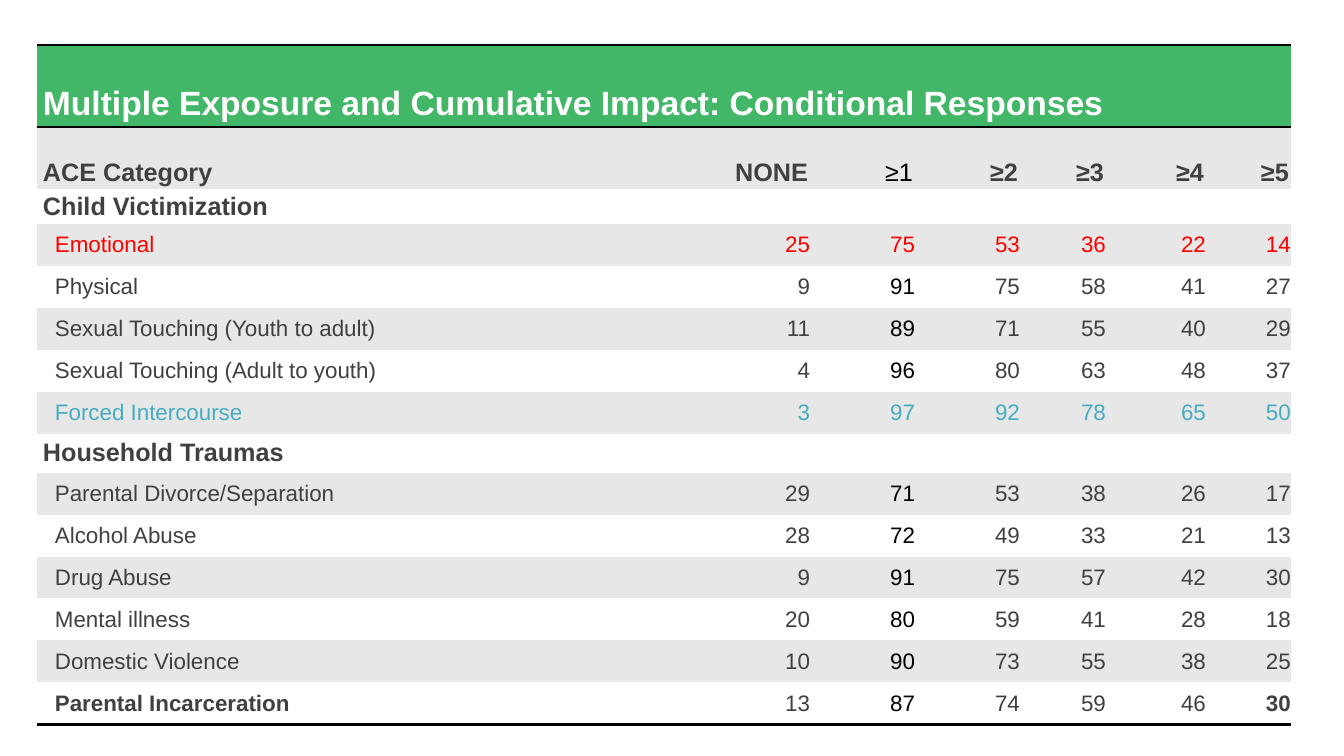
from lxml import etree
from pptx import Presentation
from pptx.dml.color import RGBColor
from pptx.enum.text import MSO_ANCHOR, PP_ALIGN
from pptx.oxml.ns import qn
from pptx.util import Emu, Pt

LEFT, RIGHT = PP_ALIGN.LEFT, PP_ALIGN.RIGHT
TOP, MIDDLE = MSO_ANCHOR.TOP, MSO_ANCHOR.MIDDLE
EMU_PER_PX = 914400 / 100.8

GREEN, GREY, WHITE, BLACK = "43B768", "E7E7E7", "FFFFFF", "000000"
DARK, RED, TEAL = "404040", "FF0000", "46ADC0"
PLAIN_STYLE = "{2D5ABB26-0587-4C30-8999-92F81FD0307C}"

COLUMN_WIDTHS = [663, 110, 105, 105, 86, 100, 85]
TITLE_HEIGHT, HEADER_HEIGHT, CATEGORY_HEIGHT = 82, 62, 42
TITLE = "Multiple Exposure and Cumulative Impact: Conditional Responses"
HEADERS = ["ACE Category", "NONE", "≥1", "≥2", "≥3", "≥4", "≥5"]
SECTIONS = [
    ("Child Victimization", 32, TOP, [
        ("Emotional", 25, 75, 53, 36, 22, 14),
        ("Physical", 9, 91, 75, 58, 41, 27),
        ("Sexual Touching (Youth to adult)", 11, 89, 71, 55, 40, 29),
        ("Sexual Touching (Adult to youth)", 4, 96, 80, 63, 48, 37),
        ("Forced Intercourse", 3, 97, 92, 78, 65, 50),
    ]),
    ("Household Traumas", 39, MIDDLE, [
        ("Parental Divorce/Separation", 29, 71, 53, 38, 26, 17),
        ("Alcohol Abuse", 28, 72, 49, 33, 21, 13),
        ("Drug Abuse", 9, 91, 75, 57, 42, 30),
        ("Mental illness", 20, 80, 59, 41, 28, 18),
        ("Domestic Violence", 10, 90, 73, 55, 38, 25),
        ("Parental Incarceration", 13, 87, 74, 59, 46, 30),
    ]),
]
HIGHLIGHTS = {"Emotional": RED, "Forced Intercourse": TEAL}
BOLD_CATEGORY = "Parental Incarceration"
AT_LEAST_ONE = 2


def px(length):
    """Turn pixels into EMU."""
    return Emu(round(length * EMU_PER_PX))


def rgb(color):
    """Turn a hex string into a colour."""
    return RGBColor.from_string(color)


def write(cell, text, size=16, color=DARK, bold=False, align=LEFT,
          anchor=MIDDLE, spacing=None, left=6, right=2):
    """Put formatted text into a cell."""
    cell.margin_left, cell.margin_right = px(left), px(right)
    cell.margin_top = cell.margin_bottom = px(3)
    cell.vertical_anchor = anchor
    paragraph = cell.text_frame.paragraphs[0]
    paragraph.alignment = align
    if spacing:
        paragraph.line_spacing = spacing
    if not text:
        etree.SubElement(paragraph._p, qn("a:endParaRPr"), sz=str(size * 100))
        return
    run = paragraph.add_run()
    run.text = text
    run.font.name, run.font.size, run.font.bold = "Arial", Pt(size), bold
    run.font.color.rgb = rgb(color)


def fill_row(row, color):
    """Fill every cell of a row with one colour."""
    for cell in row.cells:
        cell.fill.solid()
        cell.fill.fore_color.rgb = rgb(color)


def rule_row(row, *edges):
    """Draw black rules along the given edges of a row, bottom edge first."""
    for cell in row.cells:
        properties = cell._tc.get_or_add_tcPr()
        for edge in edges:
            line = etree.Element(qn(f"a:{edge}"), w=str(Pt(2)))
            solid = etree.SubElement(line, qn("a:solidFill"))
            etree.SubElement(solid, qn("a:srgbClr"), val=BLACK)
            properties.insert(0, line)


def add_grid(slide, heights):
    """Add an unstyled table with the given row heights."""
    frame = slide.shapes.add_table(
        len(heights), len(COLUMN_WIDTHS), px(37), px(45),
        px(sum(COLUMN_WIDTHS)), px(sum(heights)))
    table = frame.table
    table.first_row = table.horz_banding = False
    table._tbl.tblPr.find(qn("a:tableStyleId")).text = PLAIN_STYLE
    for column, width in zip(table.columns, COLUMN_WIDTHS):
        column.width = px(width)
    for row, height in zip(table.rows, heights):
        row.height = px(height)
    return table


def write_title(row):
    """Write the banner that spans the table."""
    rule_row(row, "lnB", "lnT")
    fill_row(row, GREEN)
    row.cells[0].merge(row.cells[len(COLUMN_WIDTHS) - 1])
    write(row.cells[0], TITLE, size=24, color=WHITE, bold=True,
          anchor=TOP, spacing=2.0)


def write_headers(row):
    """Write the column headings."""
    fill_row(row, GREY)
    for index, (cell, heading) in enumerate(zip(row.cells, HEADERS)):
        plain = index == AT_LEAST_ONE
        write(cell, heading, size=18, color=BLACK if plain else DARK,
              bold=not plain, align=RIGHT if index else LEFT,
              anchor=TOP, spacing=2.0)


def write_section(row, name, anchor):
    """Write a section heading row."""
    fill_row(row, WHITE)
    for cell in row.cells:
        write(cell, "")
    row.cells[0].text_frame.clear()
    write(row.cells[0], name, size=18, bold=True, anchor=anchor)


def write_category(row, category, values, background):
    """Write one category and its percentages."""
    fill_row(row, background)
    color = HIGHLIGHTS.get(category, DARK)
    emphasized = category == BOLD_CATEGORY
    write(row.cells[0], category, color=color, bold=emphasized, left=18)
    for index, value in enumerate(values, 1):
        black = index == AT_LEAST_ONE and category not in HIGHLIGHTS
        write(row.cells[index], str(value), color=BLACK if black else color,
              bold=emphasized and index == len(values), align=RIGHT, right=0)


def main():
    """Build the slide and save it."""
    deck = Presentation()
    deck.slide_width, deck.slide_height = px(1344), px(756)
    slide = deck.slides.add_slide(deck.slide_layouts[6])
    heights = [TITLE_HEIGHT, HEADER_HEIGHT]
    for _, height, _, categories in SECTIONS:
        heights += [height] + [CATEGORY_HEIGHT] * len(categories)
    table = add_grid(slide, heights)
    rows = iter(table.rows)
    write_title(next(rows))
    write_headers(next(rows))
    for name, _, anchor, categories in SECTIONS:
        write_section(next(rows), name, anchor)
        for index, (category, *values) in enumerate(categories):
            write_category(next(rows), category, values,
                           WHITE if index % 2 else GREY)
    rule_row(table.rows[len(heights) - 1], "lnB")
    deck.save("out.pptx")


if __name__ == "__main__":
    main()
